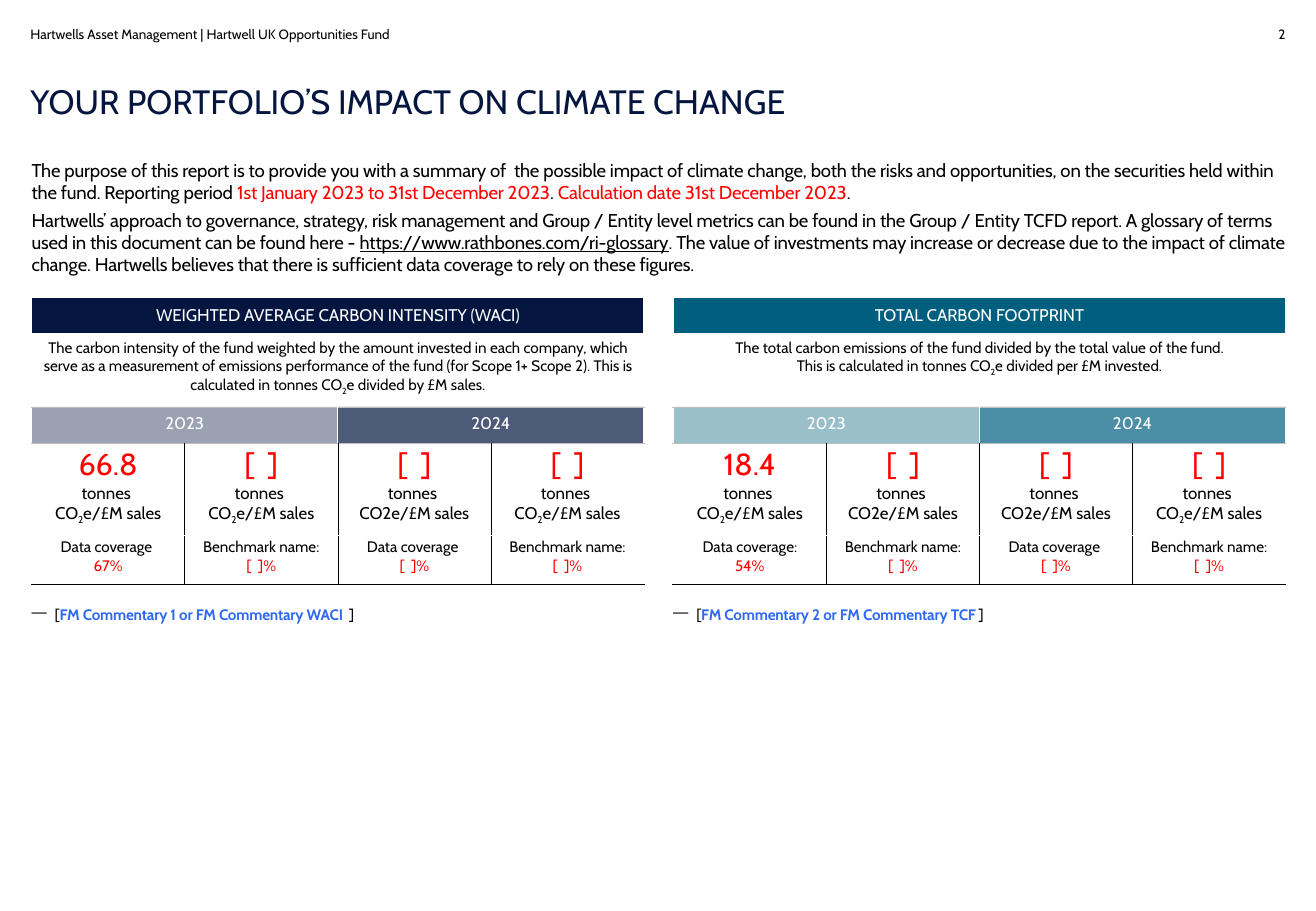
from lxml import etree
from pptx import Presentation
from pptx.dml.color import RGBColor
from pptx.enum.text import MSO_ANCHOR, PP_ALIGN
from pptx.oxml.ns import qn
from pptx.util import Inches, Pt

LEFT, CENTER, RIGHT = PP_ALIGN.LEFT, PP_ALIGN.CENTER, PP_ALIGN.RIGHT
TOP, MIDDLE = MSO_ANCHOR.TOP, MSO_ANCHOR.MIDDLE

COLORS = {"black": "000000", "white": "FFFFFF", "red": "FF0000", "navy": "041640",
          "teal": "005F7F", "grey": "BFBFBF", "blue": "2F69F2"}

COL = 1.26
ROWS = (0.3, 0.6, 0.3, 0.76, 0.4)
SPANS = (4, 4, 2, 1, 1)
RULES = (None, ("grey", 0.5), ("grey", 0.5), ("white", 1), ("black", 0.25))  # under each row
PADS = ((0.1, 0.05), (0.04, 0.04), (0.1, 0.05), (0.04, 0.02), (0.04, 0.02))

SUB = ("2", {"sub": True})


class Page:
    def __init__(self, width, height, font):
        self.deck = Presentation()
        self.deck.slide_width, self.deck.slide_height = Inches(width), Inches(height)
        self.slide = self.deck.slides.add_slide(self.deck.slide_layouts[6])
        self.font = font

    def run(self, para, text, size, color="black", bold=False, under=False, sub=False, track=0):
        run = para.add_run()
        run.text = text
        font = run.font
        font.name, font.size, font.bold = self.font, Pt(size), bold
        font.color.rgb = RGBColor.from_string(COLORS[color])
        if under:
            font.underline = True
        if sub:
            run._r.get_or_add_rPr().set("baseline", "-25000")
        if track:
            run._r.get_or_add_rPr().set("spc", str(track))

    def fill(self, frame, paras, align=LEFT, after=0, line=None, bullet=None, **base):
        """Write paragraphs, each a list of (text, style) pieces; base is the shared style."""
        for i, pieces in enumerate(paras):
            para = frame.add_paragraph() if i else frame.paragraphs[0]
            if bullet:
                props = para._p.get_or_add_pPr()
                props.set("marL", str(Inches(0.19)))
                props.set("indent", str(Inches(-0.19)))
                etree.SubElement(props, qn("a:buChar")).set("char", bullet)
            para.alignment = align
            if after:
                para.space_after = Pt(after)
            if line:
                para.line_spacing = line
            for text, style in pieces:
                look = {**base, **style}
                for n, part in enumerate(text.split("\n")):
                    if n:
                        para.add_line_break()
                        mark = etree.SubElement(para._p[-1], qn("a:rPr"))
                        mark.set("sz", str(look["size"] * 100))
                    if part:
                        self.run(para, part, **look)

    def text(self, x, y, w, h, paras, **style):
        frame = self.slide.shapes.add_textbox(*map(Inches, (x, y, w, h))).text_frame
        frame.word_wrap = True
        frame.margin_left = frame.margin_right = frame.margin_top = frame.margin_bottom = 0
        self.fill(frame, paras, **style)

    def edge(self, cell, lines):
        """Draw cell borders; lines maps a side to (color, width)."""
        props = cell._tc.get_or_add_tcPr()
        sides = [side for side in "LRTB" if lines.get(side)]
        for i, side in enumerate(sides):
            color, width = lines[side]
            line = etree.Element(qn("a:ln" + side), w=str(Pt(width)))
            solid = etree.SubElement(line, qn("a:solidFill"))
            etree.SubElement(solid, qn("a:srgbClr"), val=COLORS[color])
            props.insert(i, line)

    def paint(self, cell, color, alpha):
        cell.fill.solid()
        cell.fill.fore_color.rgb = RGBColor.from_string(COLORS[color])
        if alpha < 100:
            shade = cell._tc.tcPr.find(".//" + qn("a:srgbClr"))
            etree.SubElement(shade, qn("a:alpha"), val=str(alpha * 1000))

    def table(self, x, y, color, cells):
        """Place a metric table; cells maps (row, column) to (paragraphs, style)."""
        shape = self.slide.shapes.add_table(
            len(ROWS), 4, Inches(x), Inches(y), Inches(4 * COL), Inches(sum(ROWS)))
        grid = shape.table
        grid.first_row = grid.horz_banding = False
        for col in grid.columns:
            col.width = Inches(COL)
        tints = {(0, 0): 100, (2, 0): 40, (2, 2): 70}
        for r, height in enumerate(ROWS):
            grid.rows[r].height = Inches(height)
            span = SPANS[r]
            for c in range(4):
                cell = grid.cell(r, c)
                cell.margin_left = cell.margin_right = Inches(PADS[r][0])
                cell.margin_top = cell.margin_bottom = Inches(PADS[r][1])
                cell.vertical_anchor = TOP if r else MIDDLE
                if (r, c) in tints:
                    self.paint(cell, color, tints[r, c])
                else:
                    cell.fill.background()
                if r:
                    lines = {"T": RULES[r - 1], "B": RULES[r]}
                    for side, at in (("L", c), ("R", c + 1)):
                        if at % span == 0:
                            lines[side] = ("white", 1) if at in (0, 4) else ("black", 0.25)
                    self.edge(cell, lines)
                if c % span == 0:
                    if span > 1:
                        cell.merge(grid.cell(r, c + span - 1))
                    paras, style = cells[r, c]
                    self.fill(cell.text_frame, paras, align=CENTER, **style)


def plain(text, **style):
    return [(text, style)]


def metric(value, flat):
    """A large value above its unit; flat leaves the 2 of CO2 on the base line."""
    head = plain(value, size=18, color="red")
    if flat:
        return [head, plain("tonnes "), plain("CO2e/£M sales")]
    return [head, [("tonnes \nCO", {}), SUB, ("e/£M sales", {})]]


def block(title, about, value, share, flats, cover):
    """All cells of one metric table."""
    cells = {(0, 0): ([plain(title)], {"size": 10, "color": "white"}),
             (1, 0): ([about], {"size": 9})}
    for c, year in ((0, "2023"), (2, "2024")):
        cells[2, c] = ([plain(year)], {"size": 10, "color": "white"})
    for c in range(4):
        cells[3, c] = (metric("[  ]" if c else value, c in flats), {"size": 10})
        label = "Benchmark name:\n" if c % 2 else "Data coverage \n"
        note = [[(label, {}), ("[  ]%" if c else share, {"color": "red"})]]
        cells[4, c] = (note, {"size": 9})
    cells[4, 0] = ([[(cover + "\n", {}), (share, {"color": "red"})]], {"size": 9})
    return cells


INTRO = [
    [("The purpose of this report is to provide you with a summary of  the possible impact of "
      "climate change, both the risks and opportunities, on the securities held within the fund. "
      "Reporting period ", {}),
     ("1st January 2023 to 31st December 2023", {"color": "red"}), (". ", {}),
     ("Calculation date 31st December 2023", {"color": "red"}), (".", {})],
    [("Hartwells’ approach to governance, strategy, risk management and Group / Entity level "
      "metrics can be found in the Group / Entity TCFD report. A glossary of terms used in this "
      "document can be found here - ", {}),
     ("https://www.rathbones.com/ri-glossary", {"under": True}),
     (". The value of investments may increase or decrease due to the impact of climate change. "
      "Hartwells believes that there is sufficient data coverage to rely on these figures.", {})],
]

WACI = block(
    "WEIGHTED AVERAGE CARBON INTENSITY (WACI)",
    [("The carbon intensity of the fund weighted by the amount invested in each company, which "
      "serve as a measurement of emissions performance of the fund (for Scope 1+ Scope 2). "
      "This is calculated in tonnes CO", {}), SUB, ("e divided by £M sales.", {})],
    "66.8", "67%", {2}, "Data coverage ")

TOTAL = block(
    "TOTAL CARBON FOOTPRINT",
    [("The total carbon emissions of the fund divided by the total value of the fund.\n"
      "This is calculated in tonnes CO", {}), SUB, ("e divided per £M invested.", {})],
    "18.4", "54%", {1, 2}, "Data coverage:")


def main():
    page = Page(10.83, 7.5, "Cabin")
    page.text(0.25, 0.22, 6.8, 0.13,
              [plain("Hartwells Asset Management | Hartwell UK Opportunities Fund")],
              size=8, line=0.98)
    page.text(9.95, 0.22, 0.63, 0.13, [plain("2")], size=8, line=0.98, align=RIGHT)
    page.text(0.25, 0.7, 10.32, 0.31, [plain("YOUR PORTFOLIO’S IMPACT ON CLIMATE CHANGE")],
              size=20, color="navy", line=0.92)
    page.text(0.26, 1.31, 10.32, 0.97, INTRO, size=11, track=-10, after=3)
    for x, color, cells, name, end in (
            (0.26, "navy", WACI, "FM Commentary 1 or FM Commentary WACI", "  ]"),
            (5.54, "teal", TOTAL, "FM Commentary 2 or FM Commentary TCF", " ]")):
        page.table(x, 2.45, color, cells)
        page.text(x, 4.98, 4 * COL, 0.15,
                  [[("[", {}), (name, {"color": "blue", "bold": True}), (end, {})]],
                  size=9, track=-10, after=3, bullet="—")
    page.deck.save("out.pptx")


if __name__ == "__main__":
    main()
